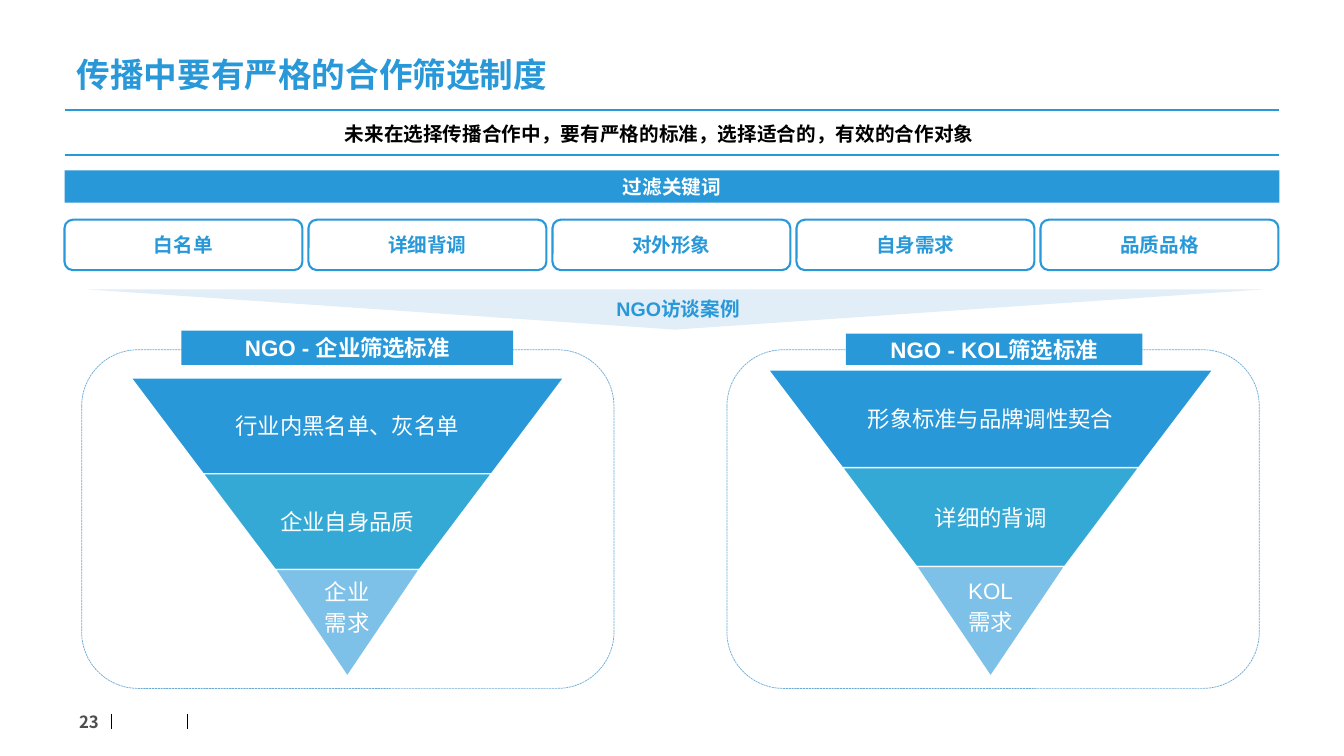
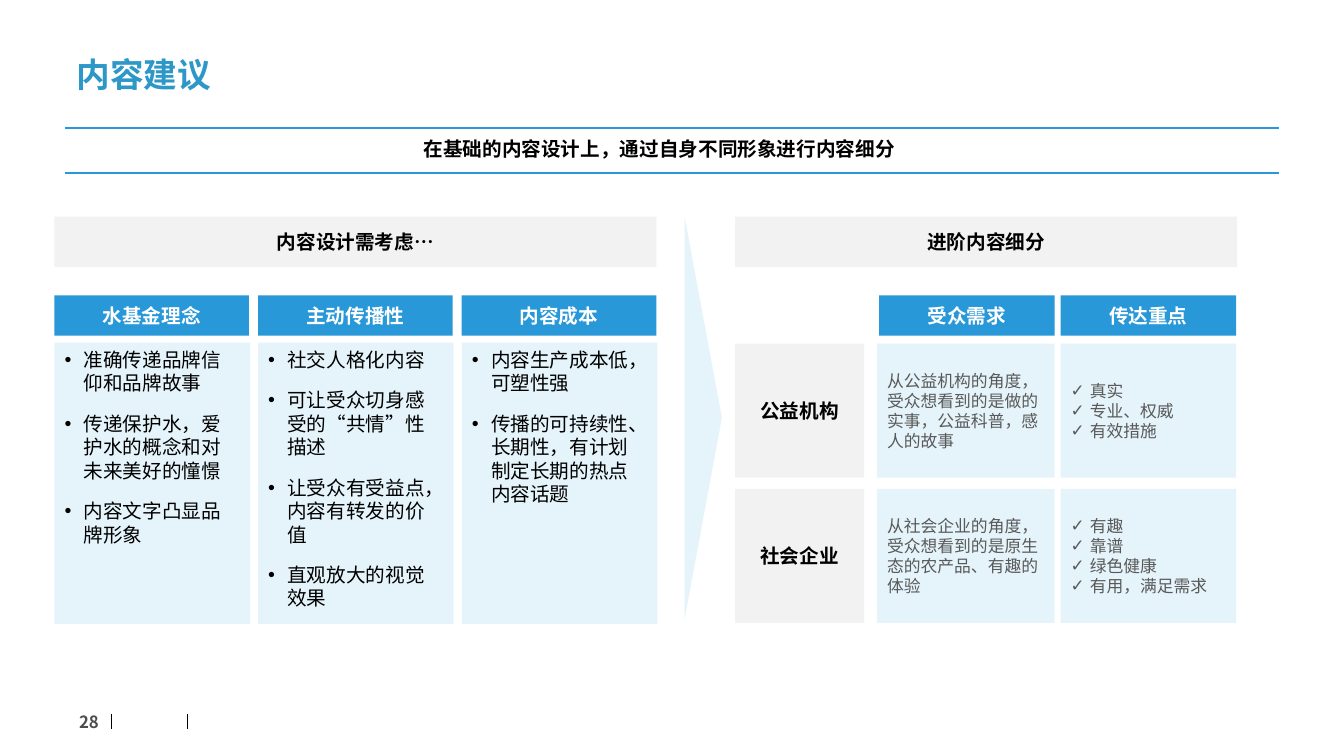
from lxml.etree import SubElement
from pptx import Presentation
from pptx.dml.color import RGBColor
from pptx.enum.dml import MSO_LINE
from pptx.enum.shapes import MSO_CONNECTOR, MSO_SHAPE
from pptx.enum.text import MSO_ANCHOR, MSO_AUTO_SIZE, PP_ALIGN
from pptx.oxml.ns import qn
from pptx.util import Inches, Pt

BLUE = RGBColor(0x28, 0x98, 0xD8)
TITLE_TEAL = RGBColor(0x2D, 0x97, 0xC8)
TEAL = RGBColor(0x35, 0xA9, 0xD5)
SKY = RGBColor(0x7E, 0xC1, 0xE8)
OUTLINE = RGBColor(0x6B, 0xAB, 0xD6)
MIST = RGBColor(0xE1, 0xEE, 0xF7)
PALE = RGBColor(0xE5, 0xF4, 0xFA)
LIGHT_GREY = RGBColor(0xF2, 0xF2, 0xF2)
GREY = RGBColor(0x59, 0x59, 0x59)
DARK_GREY = RGBColor(0x4D, 0x4D, 0x4D)
BLACK = RGBColor(0, 0, 0)
WHITE = RGBColor(0xFF, 0xFF, 0xFF)
ARIAL = "Arial"
NOTO = "Noto Sans CJK SC"


def write(box, lines, size, color, bold=False, font=ARIAL, align=PP_ALIGN.CENTER,
          anchor=MSO_ANCHOR.MIDDLE, bullet=None, gap=0):
    """Fill a shape with one paragraph per line; gap is the space after, in points."""
    frame = box.text_frame
    frame.word_wrap = True
    frame.auto_size = MSO_AUTO_SIZE.NONE
    frame.vertical_anchor = anchor
    for index, line in enumerate(lines):
        para = frame.add_paragraph() if index else frame.paragraphs[0]
        if bullet:
            props = para._p.get_or_add_pPr()
            props.set("marL", str(Inches(0.19)))
            props.set("indent", str(Inches(-0.19)))
            SubElement(props, qn("a:buFont"), typeface=ARIAL)
            SubElement(props, qn("a:buChar"), char=bullet)
        para.alignment = align
        para.line_spacing = Pt(size * 1.2)
        para.space_before = Pt(0)
        para.space_after = Pt(gap)
        span = para.add_run()
        span.text = line
        span.font.size = Pt(size)
        span.font.bold = bold
        span.font.color.rgb = color
        span.font.name = font
        SubElement(span._r.get_or_add_rPr(), qn("a:ea"), typeface=NOTO)


def add_block(page, kind, left, top, width, height, fill=None, line=None, weight=1.5):
    block = page.shapes.add_shape(kind, Inches(left), Inches(top),
                                  Inches(width), Inches(height))
    block.shadow.inherit = False
    if fill is None:
        block.fill.background()
    else:
        block.fill.solid()
        block.fill.fore_color.rgb = fill
    if line is None:
        block.line.fill.background()
    else:
        block.line.color.rgb = line
        block.line.width = Pt(weight)
    return block


deck = Presentation()
deck.slide_width = Inches(13.33)
deck.slide_height = Inches(7.5)

# Shared frame: title, key statement between two rules, page number
TITLE_ONLY, COMPARISON = deck.slide_layouts[5], deck.slide_layouts[4]
frames = [
    (TITLE_ONLY, "传播中要有严格的合作筛选制度", BLUE, "23", 1.09, 1.16,
     "未来在选择传播合作中，要有严格的标准，选择适合的，有效的合作对象"),
    (COMPARISON, "内容建议", TITLE_TEAL, "28", 1.27, 1.3,
     "在基础的内容设计上，通过自身不同形象进行内容细分"),
]
pages = []
for layout, heading, heading_color, number, rule_top, statement_top, statement in frames:
    page = deck.slides.add_slide(layout)
    pages.append(page)
    title = page.shapes.title
    title.left, title.top = Inches(0.66), Inches(0.48)
    title.width, title.height = Inches(7.27), Inches(0.5)
    write(title, [heading], 24, heading_color, True, NOTO, PP_ALIGN.LEFT)

    lines = [(0.64, y, 12.69, y, BLUE, 1.5) for y in (rule_top, rule_top + 0.45)]
    lines += [(x, 7.08, x, 7.23, BLACK, 0.5) for x in (1.1, 1.86)]
    for x1, y1, x2, y2, color, weight in lines:
        rule = page.shapes.add_connector(MSO_CONNECTOR.STRAIGHT, Inches(x1), Inches(y1),
                                         Inches(x2), Inches(y2))
        rule.line.color.rgb = color
        rule.line.width = Pt(weight)
        SubElement(rule._element.spPr, qn("a:effectLst"))

    statement_box = page.shapes.add_textbox(Inches(0.54), Inches(statement_top),
                                            Inches(12), Inches(0.34))
    write(statement_box, [statement], 14, BLACK, True, NOTO)
    number_box = page.shapes.add_textbox(Inches(0.54), Inches(6.96),
                                         Inches(0.54), Inches(0.4))
    write(number_box, [number], 12, DARK_GREY, True, NOTO, PP_ALIGN.RIGHT)

screening, content = pages

# Screening keywords
banner = add_block(screening, MSO_SHAPE.RECTANGLE, 0.64, 1.69, 12.05, 0.32, BLUE)
write(banner, ["过滤关键词"], 14, WHITE, True)
for index, keyword in enumerate(["白名单", "详细背调", "对外形象", "自身需求", "品质品格"]):
    chip = add_block(screening, MSO_SHAPE.ROUNDED_RECTANGLE, 0.64 + index * 2.42, 2.18,
                     2.36, 0.5, WHITE, BLUE)
    write(chip, [keyword], 14, BLUE, True)

pointer = add_block(screening, MSO_SHAPE.ISOSCELES_TRIANGLE, 0.85, 2.87, 11.69, 0.4, MIST)
pointer.rotation = 180
case_label = screening.shapes.add_textbox(Inches(0.7), Inches(2.9),
                                          Inches(12.05), Inches(0.32))
write(case_label, ["NGO访谈案例"], 14, BLUE, True)

# Screening funnels: each layer narrows by a third of the half width
funnels = [
    (0.81, (1.8, 3.28, 3.29, 0.34), "NGO - 企业筛选标准", 1.3, 4.29,
     (3.75, 4.7, 5.65, 6.71),
     [["行业内黑名单、灰名单"], ["企业自身品质"], ["企业", "需求"]]),
    (7.21, (8.39, 3.31, 2.94, 0.31), "NGO - KOL筛选标准", 7.62, 4.41,
     (3.67, 4.64, 5.62, 6.71),
     [["形象标准与品牌调性契合"], ["详细的背调"], ["KOL", "需求"]]),
]
for panel_left, tag_place, tag_text, left, width, levels, layers in funnels:
    add_block(screening, MSO_SHAPE.ROUNDED_RECTANGLE, panel_left, 3.47, 5.28, 3.36,
              line=OUTLINE, weight=0.5).line.dash_style = MSO_LINE.SQUARE_DOT
    tag = add_block(screening, MSO_SHAPE.RECTANGLE, *tag_place, BLUE)
    write(tag, [tag_text], 16, WHITE, True)
    step = width / 6
    for index, (texts, color) in enumerate(zip(layers, (BLUE, TEAL, SKY))):
        top, bottom = levels[index], levels[index + 1]
        near, far = index * step, (index + 1) * step
        corners = [(left + width - near, top), (left + width - far, bottom),
                   (left + far, bottom), (left + near, top)]
        points = [(Inches(x), Inches(y)) for x, y in corners]
        builder = screening.shapes.build_freeform(*points[0])
        builder.add_line_segments(points[1:], close=True)
        layer = builder.convert_to_shape()
        layer.shadow.inherit = False
        layer.fill.solid()
        layer.fill.fore_color.rgb = color
        layer.line.color.rgb = WHITE
        layer.line.width = Pt(1)
        is_tip = index == 2
        frame = layer.text_frame
        frame.margin_left = frame.margin_right = Inches(0.03 if is_tip else 0.67)
        frame.margin_top = Inches(0 if is_tip else 0.03)
        frame.margin_bottom = Inches(0.31 if is_tip else 0.03)
        write(layer, texts, 16, WHITE, gap=3 if is_tip else 0)

# Content design: section bars and arrow
for left, width, text in [(0.54, 5.97, "内容设计需考虑…"), (7.29, 4.98, "进阶内容细分")]:
    bar = add_block(content, MSO_SHAPE.RECTANGLE, left, 2.15, width, 0.5, LIGHT_GREY)
    write(bar, [text], 14, BLACK, True)
arrow = add_block(content, MSO_SHAPE.ISOSCELES_TRIANGLE, 4.98, 3.96, 3.99, 0.37, PALE)
arrow.rotation = 90

# Three bulleted columns in the body placeholders
columns = [
    ("水基金理念", ["准确传递品牌信仰和品牌故事",
               "传递保护水，爱护水的概念和对未来美好的憧憬",
               "内容文字凸显品牌形象"]),
    ("主动传播性", ["社交人格化内容",
               "可让受众切身感受的“共情”性描述",
               "让受众有受益点，内容有转发的价值",
               "直观放大的视觉效果"]),
    ("内容成本", ["内容生产成本低，可塑性强",
              "传播的可持续性、长期性，有计划制定长期的热点内容话题"]),
]
*bodies, spare = list(content.placeholders)[1:]
spare._element.getparent().remove(spare._element)
headers = []
for index, (body, (name, items)) in enumerate(zip(bodies, columns)):
    left = 0.54 + index * 2.02
    headers.append((left, 1.93, name))
    body.left, body.top = Inches(left), Inches(3.4)
    body.width, body.height = Inches(1.94), Inches(2.79)
    body.fill.solid()
    body.fill.fore_color.rgb = PALE
    write(body, items, 14, BLACK, align=PP_ALIGN.LEFT, anchor=MSO_ANCHOR.TOP,
          bullet="•", gap=12)

headers += [(8.72, 1.74, "受众需求"), (10.52, 1.74, "传达重点")]
for left, width, name in headers:
    header = add_block(content, MSO_SHAPE.RECTANGLE, left, 2.93, width, 0.4, BLUE)
    write(header, [name], 14, WHITE, True, NOTO)

# Audience grid
audiences = [
    ("公益机构", "从公益机构的角度，受众想看到的是做的实事，公益科普，感人的故事",
     ["真实", "专业、权威", "有效措施"]),
    ("社会企业", "从社会企业的角度，受众想看到的是原生态的农产品、有趣的体验",
     ["有趣", "靠谱", "绿色健康", "有用，满足需求"]),
]
for index, (audience, need, messages) in enumerate(audiences):
    top = 3.41 + index * 1.44
    name_cell, need_cell, message_cell = [
        add_block(content, MSO_SHAPE.RECTANGLE, left, top, width, 1.33, fill)
        for left, width, fill in [(7.29, 1.28, LIGHT_GREY), (8.7, 1.76, PALE),
                                  (10.52, 1.74, PALE)]]
    write(name_cell, [audience], 14, BLACK, True)
    write(need_cell, [need], 12, GREY, font=NOTO, align=PP_ALIGN.LEFT)
    write(message_cell, messages, 12, GREY, font=NOTO, align=PP_ALIGN.LEFT, bullet="✓")

deck.save("out.pptx")
